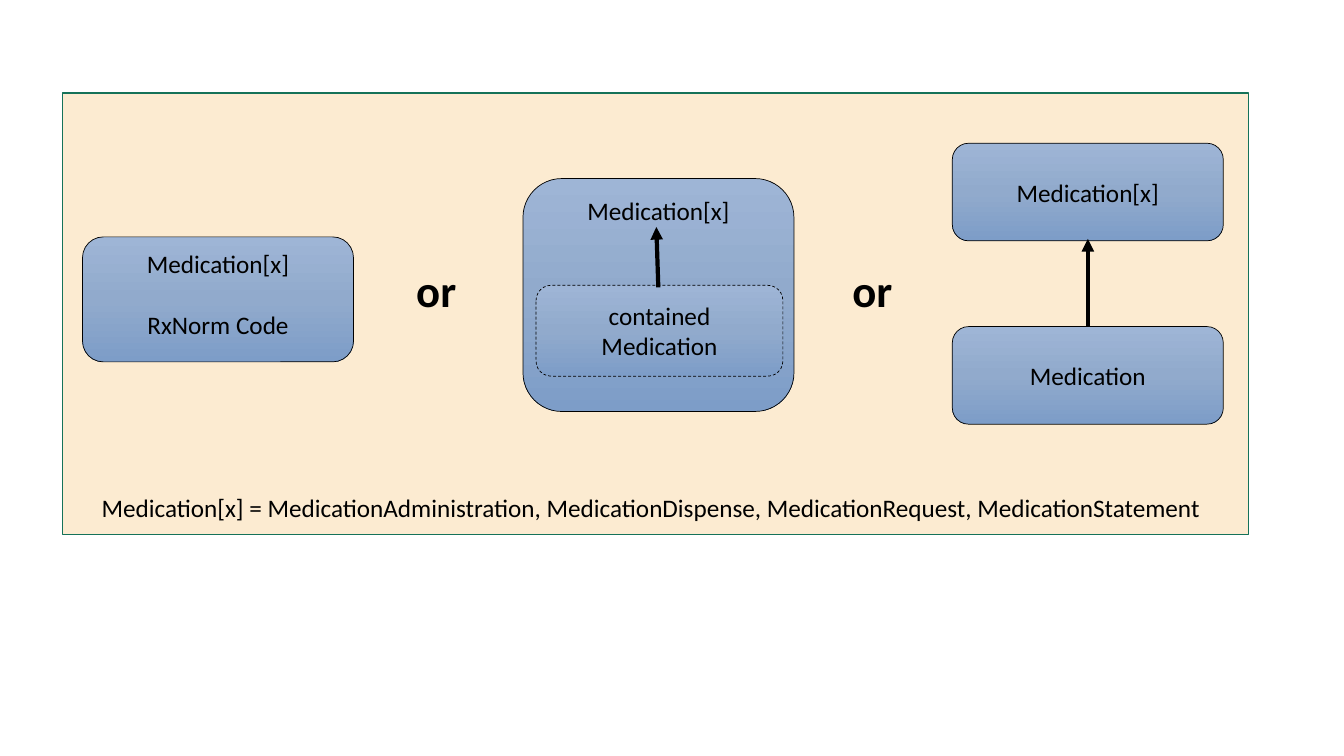
from copy import deepcopy
from dataclasses import dataclass

from lxml import etree
from pptx import Presentation
from pptx.dml.color import RGBColor
from pptx.enum.dml import MSO_LINE
from pptx.enum.shapes import MSO_CONNECTOR, MSO_SHAPE
from pptx.enum.text import MSO_ANCHOR, PP_ALIGN
from pptx.oxml.ns import qn
from pptx.util import Cm, Pt

RECT, ROUNDED = MSO_SHAPE.RECTANGLE, MSO_SHAPE.ROUNDED_RECTANGLE
STRAIGHT, DASH = MSO_CONNECTOR.STRAIGHT, MSO_LINE.DASH
TOP, MIDDLE = MSO_ANCHOR.TOP, MSO_ANCHOR.MIDDLE
LEFT, CENTER = PP_ALIGN.LEFT, PP_ALIGN.CENTER


@dataclass(frozen=True)
class Theme:
    font: str = "Calibri"
    ink: str = "000000"
    panel: str = "FCEBD1"
    border: str = "157259"
    gradient: tuple = ((0, "9EB5D6"), (0.5, "91AACC"), (1, "7D9DC8"))
    body: int = 18
    joiner: int = 32


THEME = Theme()
RESOURCE = "Medication[x]"
BOX_W, PAIR_H = 6.83, 2.46
CODE_X, CONTAINED_X, REFERENCE_X = 2.08, 13.18, 24
REQUEST_Y, MEDICATION_Y = 3.61, 8.23
ARROW_X = REFERENCE_X + BOX_W / 2

PANEL = (1.57, 2.34, 29.9, 11.13)
BOXES = [
    ((REFERENCE_X, REQUEST_Y, BOX_W, PAIR_H), [RESOURCE], MIDDLE, None),
    ((CONTAINED_X, 4.5, BOX_W, 5.87), [RESOURCE], TOP, None),
    ((CODE_X, 5.97, BOX_W, 3.15), [RESOURCE, "RxNorm Code"], TOP, None),
    ((REFERENCE_X, MEDICATION_Y, BOX_W, PAIR_H), ["Medication"], MIDDLE, None),
    ((13.51, 7.19, 6.22, 2.29), ["contained Medication"], MIDDLE, DASH),
]
LABELS = [
    ((10.24, 6.48, 1.57, 1.63), "or", MIDDLE, THEME.joiner, True),
    ((21.23, 6.48, 2.08, 1.63), "or", MIDDLE, THEME.joiner, True),
    ((2.31, 12.27, 28.55, 1.02),
     "Medication[x] = MedicationAdministration, MedicationDispense, "
     "MedicationRequest, MedicationStatement", TOP, THEME.body, False),
]
ARROWS = [
    (ARROW_X, MEDICATION_Y, ARROW_X, 6.02),
    (16.59, 7.24, 16.54, 5.72),
]


def cm(values):
    return [Cm(v) for v in values]


def rgb(value):
    return RGBColor.from_string(value)


def write(sp, lines, anchor, align, size, bold=False):
    tf = sp.text_frame
    tf.word_wrap = True
    tf.vertical_anchor = anchor
    tf.text = "\n".join(lines)
    for i, p in enumerate(tf.paragraphs):
        p.alignment = align
        if i:
            p.space_before = Pt(size * 1.22)
        for r in p.runs:
            r.font.name = THEME.font
            r.font.size = Pt(size)
            r.font.bold = bold
            r.font.color.rgb = rgb(THEME.ink)


def add_outlined(s, kind, at, color, width):
    sp = s.shapes.add_shape(kind, *cm(at))
    sp.shadow.inherit = False
    sp.line.color.rgb = rgb(color)
    sp.line.width = Pt(width)
    return sp


def fill_gradient(sp):
    sp.fill.gradient()
    sp.fill.gradient_angle = 270
    stops = sp._element.spPr.find(qn("a:gradFill")).find(qn("a:gsLst"))
    stops.insert(1, deepcopy(stops[0]))
    for stop, (position, color) in zip(sp.fill.gradient_stops, THEME.gradient):
        stop.position = position
        stop.color.rgb = rgb(color)


def add_arrow(s, ends):
    line = s.shapes.add_connector(STRAIGHT, *cm(ends))
    line.line.color.rgb = rgb(THEME.ink)
    line.line.width = Pt(3)
    etree.SubElement(line.line._get_or_add_ln(), qn("a:tailEnd"), type="triangle")
    etree.SubElement(line._element.spPr, qn("a:effectLst"))


prs = Presentation()
prs.slide_width, prs.slide_height = Cm(33.87), Cm(19.05)
s = prs.slides.add_slide(prs.slide_layouts[6])

panel = add_outlined(s, RECT, PANEL, THEME.border, 1)
panel.fill.solid()
panel.fill.fore_color.rgb = rgb(THEME.panel)

for at, lines, anchor, dash in BOXES:
    sp = add_outlined(s, ROUNDED, at, THEME.ink, 0.5)
    fill_gradient(sp)
    if dash:
        sp.line.dash_style = dash
    write(sp, lines, anchor, CENTER, THEME.body)

for at, text, anchor, size, bold in LABELS:
    write(s.shapes.add_textbox(*cm(at)), [text], anchor, LEFT, size, bold)

for ends in ARROWS:
    add_arrow(s, ends)

prs.save("out.pptx")
